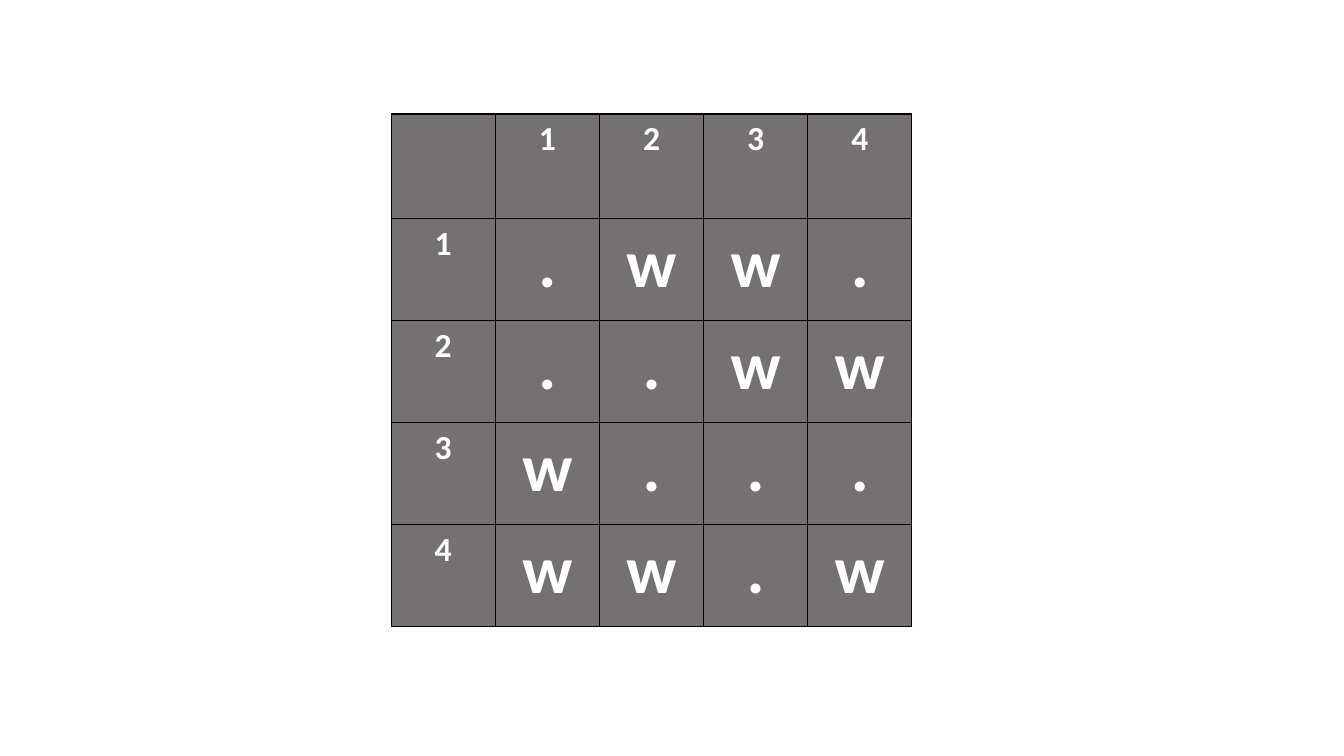
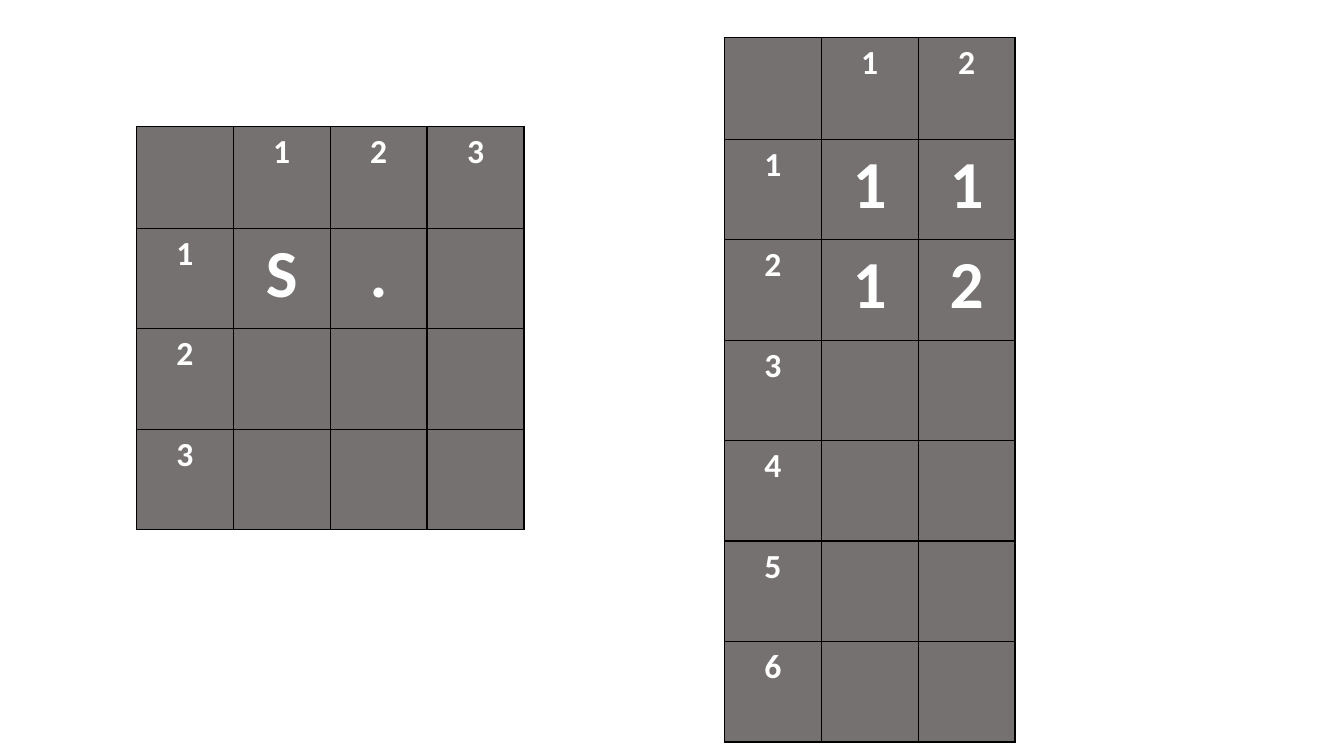
from dataclasses import dataclass

from lxml.etree import SubElement
from pptx import Presentation
from pptx.dml.color import RGBColor as Color
from pptx.enum.text import PP_ALIGN as Align
from pptx.oxml.ns import qn
from pptx.util import Pt


@dataclass(frozen=True)
class Theme:
    """Colours, font and sizes shared by every grid."""
    cell: str = "767171"
    line: str = "000000"
    text: str = "FFFFFF"
    font: str = "Calibri"
    label_size: int = 24
    mark_size: int = 48
    line_width: int = 1


@dataclass(frozen=True)
class Box:
    """Place of a grid and the sizes of its cells, in points."""
    left: float
    top: float
    column: float
    header: float
    row: float


THEME = Theme()
BLANK_LAYOUT = 6

WATER_MAP = [".ww.", "..ww", "w...", "ww.w"]
START_MAP = ["S. ", "   ", "   "]
PAIR_LIST = ["11", "12", "  ", "  ", "  ", "  "]


def add_borders(cell):
    """Draw the same line on all four sides of a cell."""
    properties = cell._tc.get_or_add_tcPr()
    for side in ("lnL", "lnR", "lnT", "lnB"):
        line = SubElement(properties, qn(f"a:{side}"), w=str(Pt(THEME.line_width)))
        fill = SubElement(line, qn("a:solidFill"))
        SubElement(fill, qn("a:srgbClr"), val=THEME.line)


def style_cell(cell, text, size):
    """Give a cell its borders, fill and centred text."""
    add_borders(cell)
    cell.fill.solid()
    cell.fill.fore_color.rgb = Color.from_string(THEME.cell)
    if not text:
        return
    paragraph = cell.text_frame.paragraphs[0]
    paragraph.alignment = Align.CENTER
    run = paragraph.add_run()
    run.text = text
    run.font.name = THEME.font
    run.font.size = Pt(size)
    run.font.bold = True
    run.font.color.rgb = Color.from_string(THEME.text)


def add_grid(slide, box, marks):
    """Add a table of marks with numbered rows and columns."""
    rows, columns = len(marks) + 1, len(marks[0]) + 1
    height = box.header + box.row * len(marks)
    table = slide.shapes.add_table(
        rows, columns, Pt(box.left), Pt(box.top), Pt(box.column * columns), Pt(height)
    ).table
    table.first_row = table.horz_banding = False
    for column in table.columns:
        column.width = Pt(box.column)
    for index, row in enumerate(table.rows):
        row.height = Pt(box.row if index else box.header)
        for position, cell in enumerate(row.cells):
            if index and position:
                style_cell(cell, marks[index - 1][position - 1].strip(), THEME.mark_size)
            else:
                style_cell(cell, str(index or position or ""), THEME.label_size)


def add_grid_slide(presentation, grids):
    """Add a blank slide holding the given grids."""
    slide = presentation.slides.add_slide(presentation.slide_layouts[BLANK_LAYOUT])
    for box, marks in grids:
        add_grid(slide, box, marks)


def main():
    """Build and save the presentation."""
    presentation = Presentation()
    presentation.slide_width, presentation.slide_height = Pt(960), Pt(540)
    add_grid_slide(presentation, [(Box(279.4, 81.4, 74.4, 74.4, 73), WATER_MAP)])
    add_grid_slide(presentation, [
        (Box(97.4, 90.3, 69.25, 72.7, 71.8), START_MAP),
        (Box(517.4, 26.7, 69.25, 72.7, 71.8), PAIR_LIST),
    ])
    presentation.save("out.pptx")


if __name__ == "__main__":
    main()
